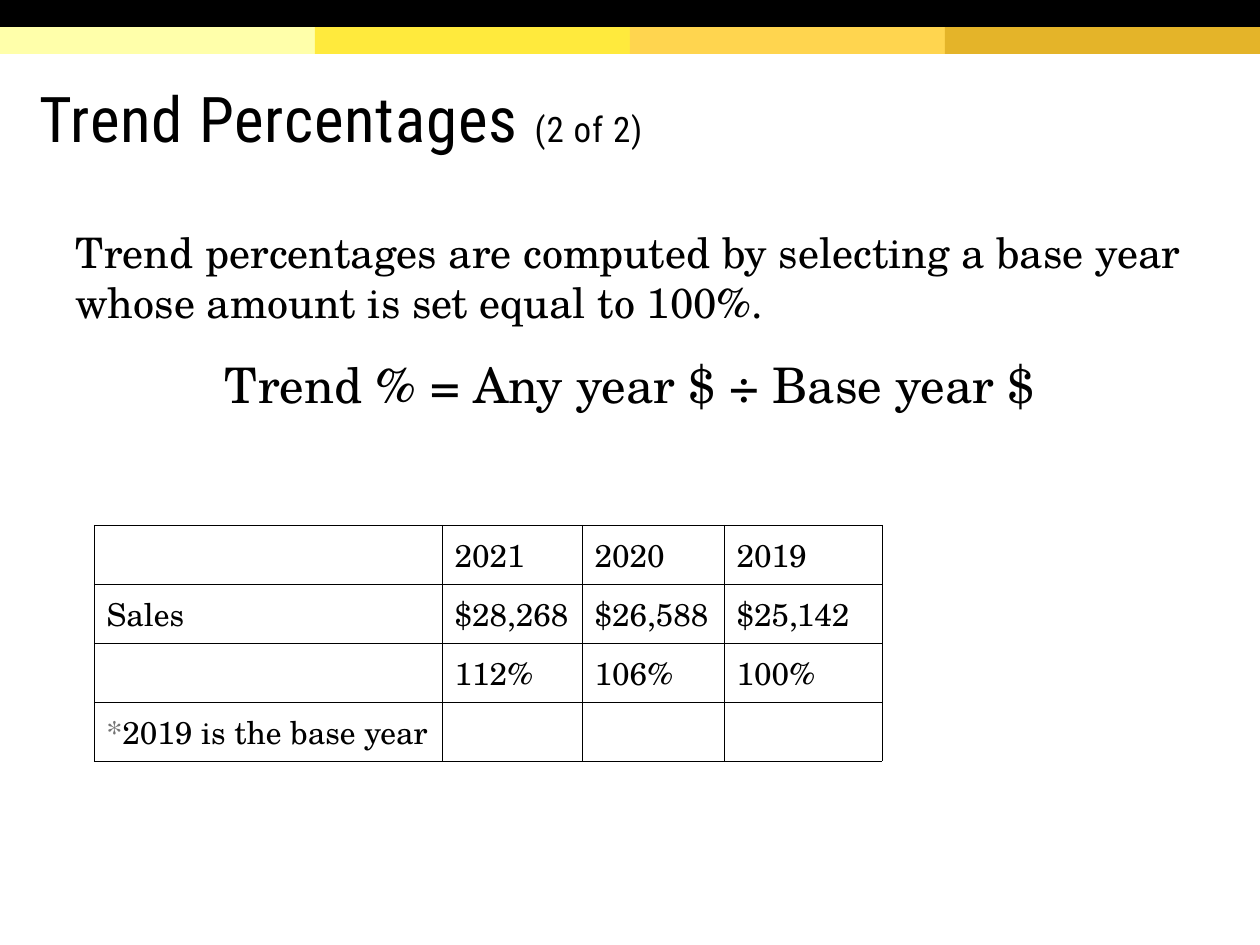
from lxml import etree
from pptx import Presentation
from pptx import util as u
from pptx.dml.color import RGBColor
from pptx.enum import shapes, text
from pptx.oxml.ns import qn

PX = 914400 // 126
WIDTH, HEIGHT = 1260, 945
BAR_HEIGHT = 27
BLACK, GREY = "000000", "757575"
HEADING_FONT, BODY_FONT = "Roboto Condensed", "TeX Gyre Schola"

BAND_COLOURS = ["FFFFAA", "FFEA3D", "FFD54F", "E4B429"]
TITLE = [("Trend Percentages ", 36), ("(2 of 2)", 20)]
EXPLANATION = "Trend percentages are computed by selecting a base year whose amount is set equal to 100%."
FORMULA = "Trend % = Any year $ ÷ Base year $"
SALES_TREND = [
    ["", "2021", "2020", "2019"],
    ["Sales", "$28,268", "$26,588", "$25,142"],
    ["", "112%", "106%", "100%"],
    ["*2019 is the base year", "", "", ""],
]
COLUMN_WIDTHS = [348, 140, 142, 158]
ROW_HEIGHT = 59


def px(*lengths):
    return [u.Emu(length * PX) for length in lengths]


def rgb(colour):
    return RGBColor.from_string(colour)


def write(paragraph, words, size=18, font=BODY_FONT, colour=BLACK, tracking=None):
    run = paragraph.add_run()
    run.text = words
    run.font.size = u.Pt(size)
    run.font.name = font
    run.font.color.rgb = rgb(colour)
    if tracking:
        run.font._element.set("spc", str(tracking))


def add_bar(slide, left, top, width, colour):
    bar = slide.shapes.add_shape(
        shapes.MSO_SHAPE.RECTANGLE, *px(left, top, width, BAR_HEIGHT))
    bar.shadow.inherit = False
    bar.fill.solid()
    bar.fill.fore_color.rgb = rgb(colour)
    bar.line.fill.background()


def add_frame(slide, left, top, width, height):
    frame = slide.shapes.add_textbox(*px(left, top, width, height)).text_frame
    frame.word_wrap = True
    return frame


def outline(cell):
    properties = cell._tc.get_or_add_tcPr()
    for position, side in enumerate(["lnL", "lnR", "lnT", "lnB"]):
        border = etree.Element(qn(f"a:{side}"), w=str(u.Pt(0.25)))
        fill = etree.SubElement(border, qn("a:solidFill"))
        etree.SubElement(fill, qn("a:srgbClr"), val=BLACK)
        properties.insert(position, border)


def add_sales_table(slide, left, top):
    table = slide.shapes.add_table(
        len(SALES_TREND), len(COLUMN_WIDTHS),
        *px(left, top, sum(COLUMN_WIDTHS), ROW_HEIGHT * len(SALES_TREND))).table
    table.first_row = table.horz_banding = False
    for column, width in zip(table.columns, COLUMN_WIDTHS):
        column.width = px(width)[0]
    for r, row in enumerate(SALES_TREND):
        table.rows[r].height = px(ROW_HEIGHT)[0]
        for c, words in enumerate(row):
            cell = table.cell(r, c)
            cell.fill.background()
            cell.vertical_anchor = text.MSO_ANCHOR.MIDDLE
            outline(cell)
            paragraph = cell.text_frame.paragraphs[0]
            if words.startswith("*"):
                write(paragraph, "*", colour=GREY)
                words = words[1:]
            if words:
                write(paragraph, words)


def main():
    deck = Presentation()
    deck.slide_width, deck.slide_height = px(WIDTH, HEIGHT)
    slide = deck.slides.add_slide(deck.slide_layouts[6])

    band_width = WIDTH // len(BAND_COLOURS)
    for i, colour in enumerate(BAND_COLOURS):
        add_bar(slide, i * band_width, BAR_HEIGHT, band_width, colour)
    add_bar(slide, 0, 0, WIDTH, BLACK)

    heading = add_frame(slide, 27, 59, 1196, 123)
    heading.vertical_anchor = text.MSO_ANCHOR.MIDDLE
    heading.margin_top = u.Inches(0.1)
    heading.paragraphs[0].line_spacing = 0.85
    for words, size in TITLE:
        write(heading.paragraphs[0], words, size=size, font=HEADING_FONT, tracking=50)

    body = add_frame(slide, 63, 220, 1134, 210)
    explanation, formula = body.paragraphs[0], body.add_paragraph()
    for paragraph in (explanation, formula):
        paragraph.space_before = paragraph.space_after = u.Pt(8)
    formula.alignment = text.PP_ALIGN.CENTER
    write(explanation, EXPLANATION, size=24)
    write(formula, FORMULA, size=28)

    add_sales_table(slide, 94, 525)
    deck.save("out.pptx")


if __name__ == "__main__":
    main()
